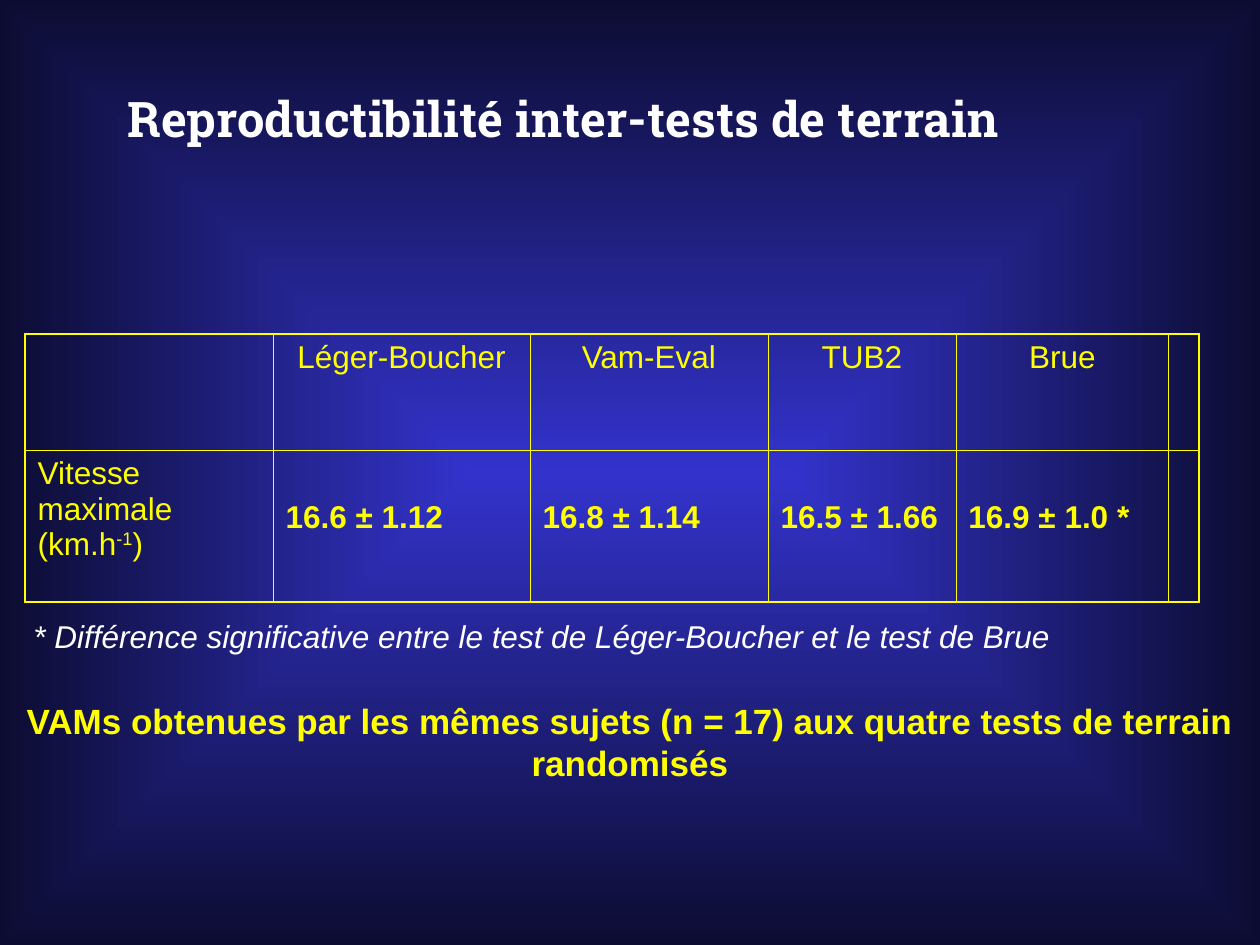
from dataclasses import dataclass

import lxml.etree
import pptx
import pptx.dml.color
import pptx.enum.text
import pptx.oxml.ns
import pptx.util

EMU_PER_PX = 914400 / 126
COLORS = {"yellow": "FFFF00", "white": "FFFFFF", "center": "3333CC", "edge": "0C0C32"}
ALIGN = pptx.enum.text.PP_ALIGN
qn = pptx.oxml.ns.qn


@dataclass
class Caption:
    box: tuple[int, int, int, int]
    lines: list[str]
    color: str
    font: dict
    align: ALIGN = ALIGN.LEFT
    wrap: bool = False


CAPTIONS = [
    Caption((115, 82, 990, 72), ["Reproductibilité inter-tests de terrain"], "white",
            {"name": "Roboto Slab", "size": pptx.util.Pt(28), "bold": True}),
    Caption((21, 611, 1042, 50),
            ["* Différence significative entre le test de Léger-Boucher et le test de Brue"],
            "white", {"name": "Arial", "size": pptx.util.Pt(18), "italic": True}),
    Caption((0, 693, 1260, 97),
            ["VAMs obtenues par les mêmes sujets (n = 17) aux quatre tests de terrain",
             "randomisés"],
            "yellow", {"name": "Arial", "size": pptx.util.Pt(20), "bold": True},
            ALIGN.CENTER, True),
]

TABLE_LEFT, TABLE_TOP = 25, 334
COL_WIDTHS = [248, 257, 238, 188, 213, 30]
ROW_HEIGHTS = [116, 152]
RESULTS = {
    "Léger-Boucher": "16.6 ± 1.12",
    "Vam-Eval": "16.8 ± 1.14",
    "TUB2": "16.5 ± 1.66",
    "Brue": "16.9 ± 1.0 *",
}
VALUE_TOP_MARGIN = 50
CELL_FONT = {"name": "Arial", "size": pptx.util.Pt(18)}
OUTER_LINE, INNER_LINE = pptx.util.Pt(1.08), pptx.util.Pt(0.45)


def px(n: int) -> int:
    return round(n * EMU_PER_PX)


def rgb(color: str) -> pptx.dml.color.RGBColor:
    return pptx.dml.color.RGBColor.from_string(COLORS[color])


def add_run(p, text: str, color: str, font: dict):
    r = p.add_run()
    r.text = text
    for name, value in font.items():
        setattr(r.font, name, value)
    r.font.color.rgb = rgb(color)
    return r


def paint_background(s) -> None:
    """Fill the slide with a rectangular gradient, lightest in the middle."""
    fill = s.background.fill
    fill.gradient()
    for stop, color in zip(fill.gradient_stops, ("center", "edge")):
        stop.color.rgb = rgb(color)
    stops, = s.background._cSld.iter(qn("a:gsLst"))
    for gs, pos in zip(stops, ("0", "100000")):
        gs.set("pos", pos)
    grad = stops.getparent()
    for lin in grad.findall(qn("a:lin")):
        grad.remove(lin)
    shade = lxml.etree.Element(qn("a:path"), {"path": "rect"})
    lxml.etree.SubElement(shade, qn("a:fillToRect"), dict.fromkeys("ltrb", "50000"))
    stops.addnext(shade)


def add_caption(s, caption: Caption) -> None:
    tf = s.shapes.add_textbox(*map(px, caption.box)).text_frame
    tf.word_wrap = caption.wrap
    tf.auto_size = pptx.enum.text.MSO_AUTO_SIZE.SHAPE_TO_FIT_TEXT
    for i, line in enumerate(caption.lines):
        p = tf.add_paragraph() if i else tf.paragraphs[0]
        p.alignment = caption.align
        add_run(p, line, caption.color, caption.font)


def set_borders(cell, widths: dict[str, int]) -> None:
    tc_pr = cell._tc.get_or_add_tcPr()
    for i, (side, width) in enumerate(widths.items()):
        ln = lxml.etree.Element(qn(f"a:ln{side}"), {"w": str(int(width))})
        solid = lxml.etree.SubElement(ln, qn("a:solidFill"))
        lxml.etree.SubElement(solid, qn("a:srgbClr"), {"val": COLORS["yellow"]})
        tc_pr.insert(i, ln)


def add_results_table(s) -> None:
    rows, cols = len(ROW_HEIGHTS), len(COL_WIDTHS)
    frame = s.shapes.add_table(rows, cols, px(TABLE_LEFT), px(TABLE_TOP),
                               px(sum(COL_WIDTHS)), px(sum(ROW_HEIGHTS)))
    table = frame.table
    table.first_row = table.horz_banding = False
    for column, width in zip(table.columns, COL_WIDTHS):
        column.width = px(width)
    for row, height in zip(table.rows, ROW_HEIGHTS):
        row.height = px(height)

    for i in range(rows):
        for j in range(cols):
            cell = table.cell(i, j)
            cell.fill.background()
            on_edge = {"L": j == 0, "R": j == cols - 1, "T": i == 0, "B": i == rows - 1}
            set_borders(cell, {side: OUTER_LINE if outer else INNER_LINE
                               for side, outer in on_edge.items()})

    p = table.cell(1, 0).text_frame.paragraphs[0]
    add_run(p, "Vitesse maximale (km.h", "yellow", CELL_FONT)
    exponent = add_run(p, "-1", "yellow", CELL_FONT)
    exponent.font._element.set("baseline", "30000")
    add_run(p, ")", "yellow", CELL_FONT)

    for j, (test, speed) in enumerate(RESULTS.items(), start=1):
        p = table.cell(0, j).text_frame.paragraphs[0]
        p.alignment = ALIGN.CENTER
        add_run(p, test, "yellow", CELL_FONT)
        cell = table.cell(1, j)
        cell.margin_top = px(VALUE_TOP_MARGIN)
        add_run(cell.text_frame.paragraphs[0], speed, "yellow", CELL_FONT | {"bold": True})


def main() -> None:
    prs = pptx.Presentation()
    prs.slide_width, prs.slide_height = px(1260), px(945)
    s = prs.slides.add_slide(prs.slide_layouts[6])
    paint_background(s)
    add_results_table(s)
    for caption in CAPTIONS:
        add_caption(s, caption)
    prs.save("out.pptx")


if __name__ == "__main__":
    main()
